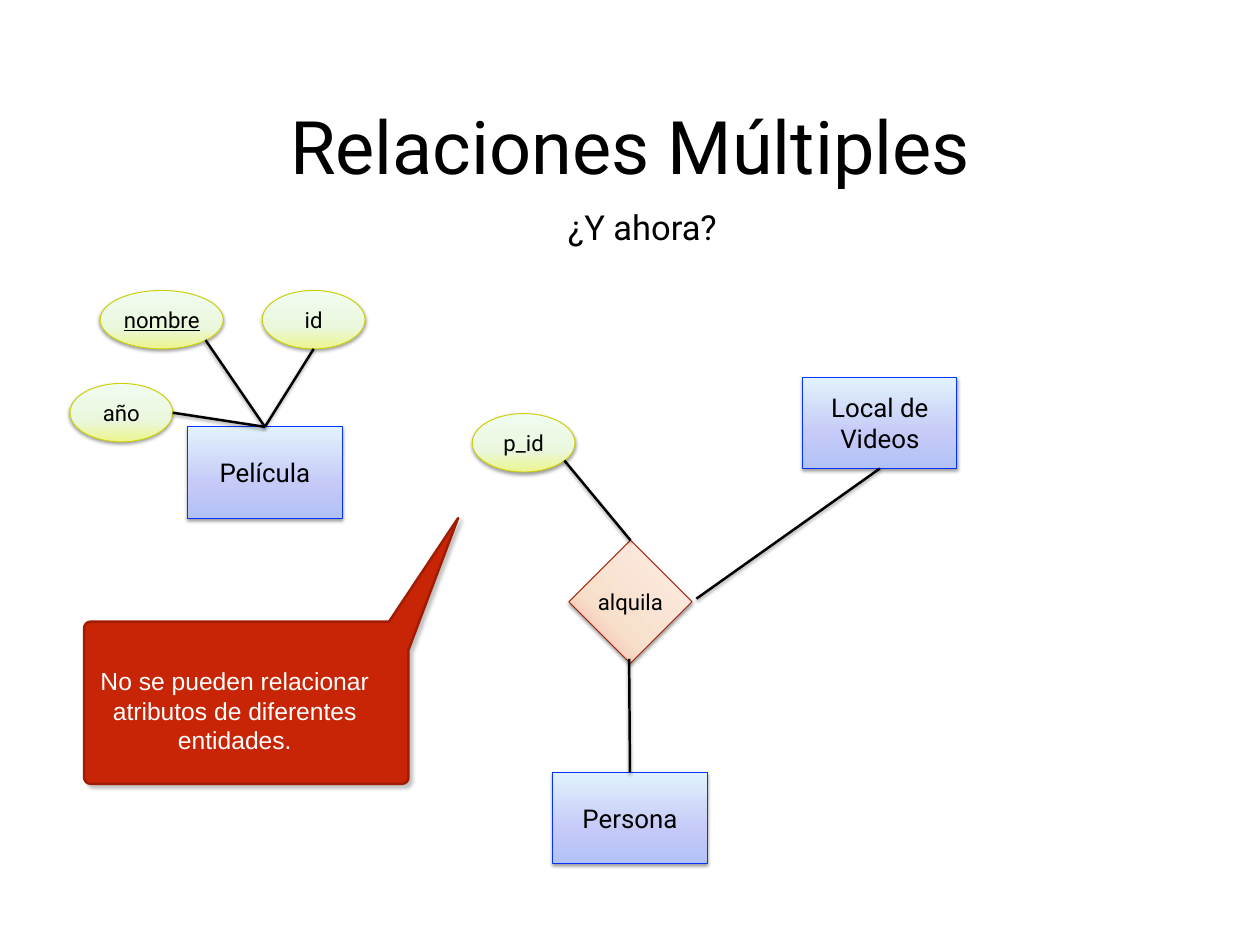
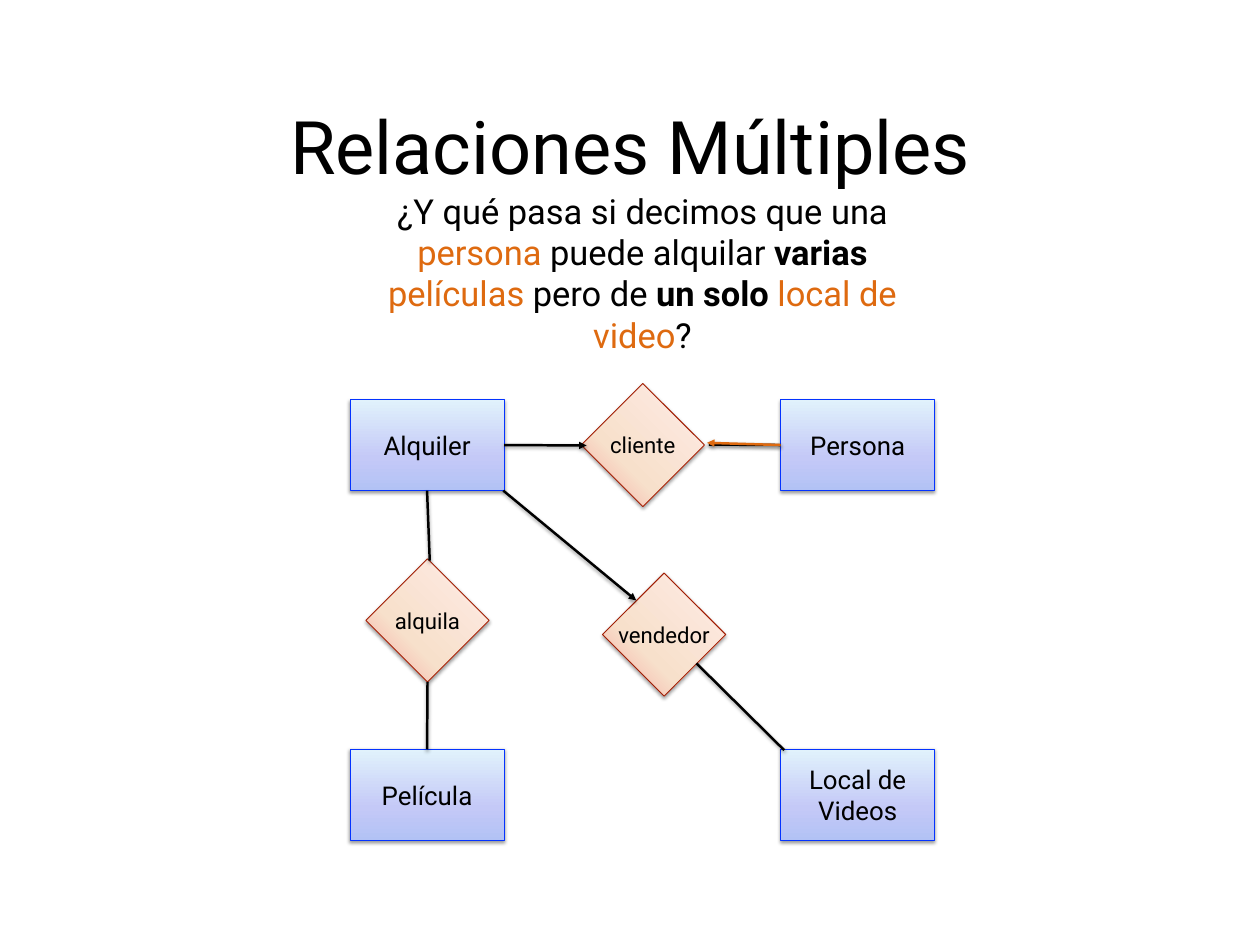
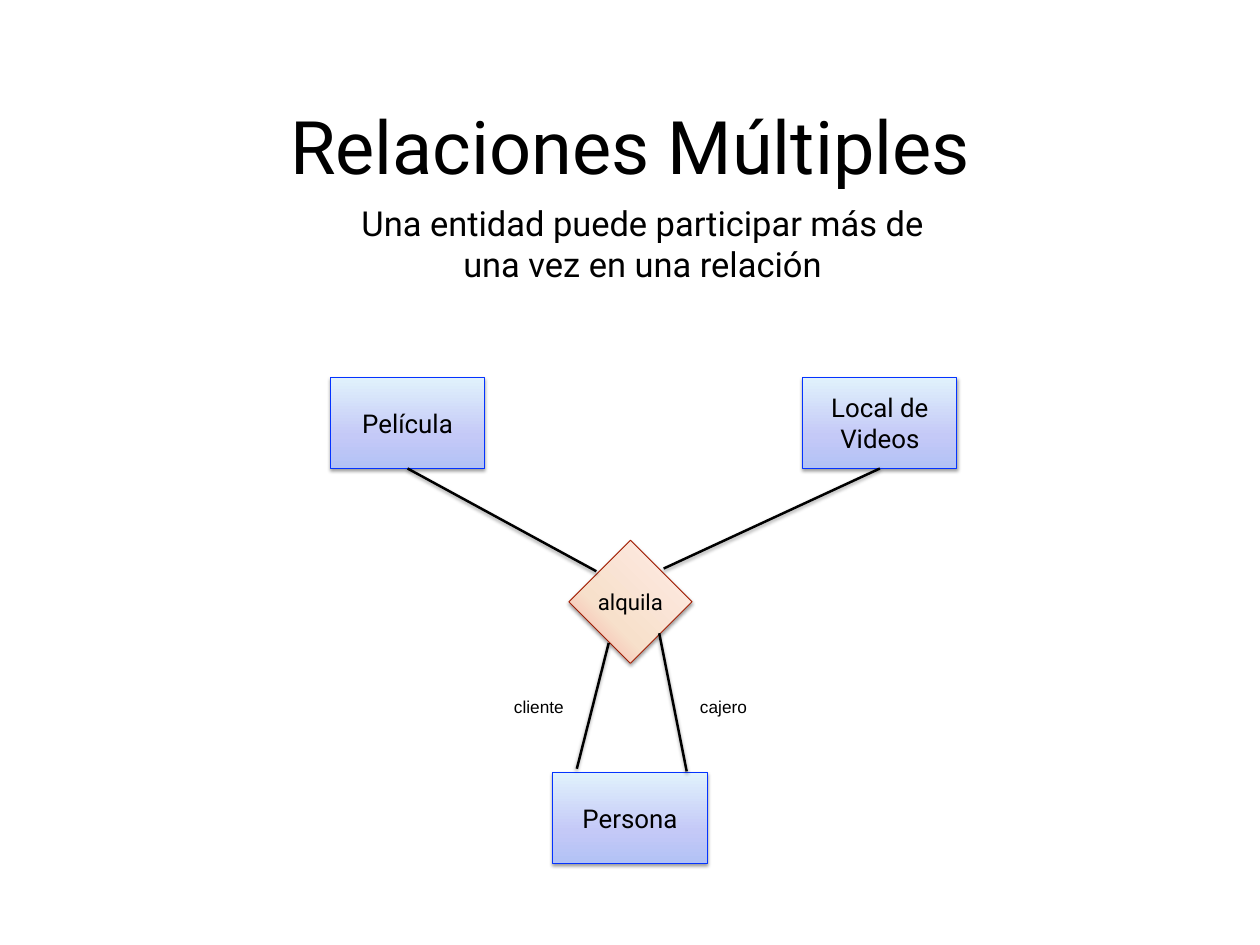
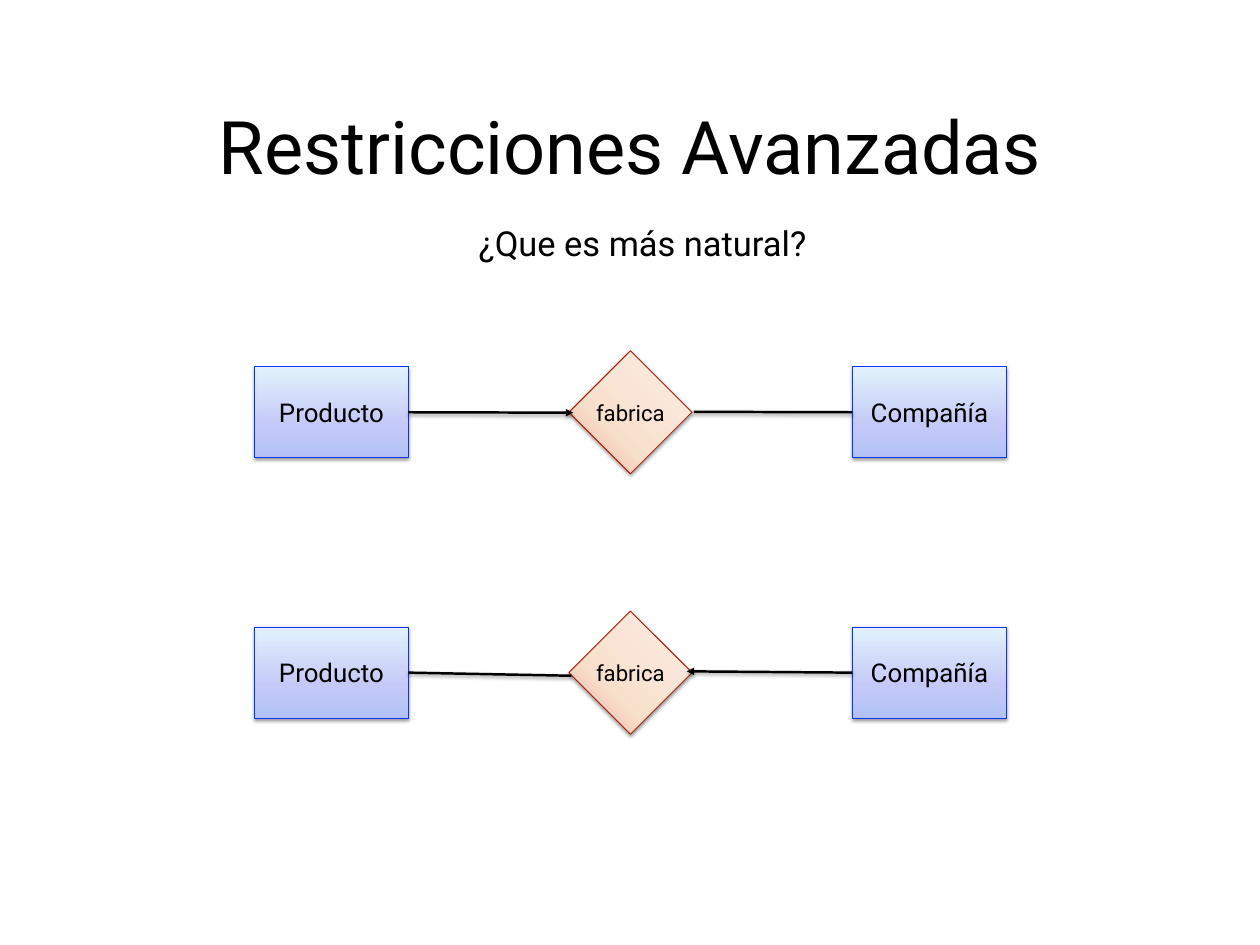
from math import cos, pi, sin

from pptx import Presentation
from pptx.dml.color import RGBColor
from pptx.enum.shapes import MSO_CONNECTOR, MSO_SHAPE
from pptx.enum.text import MSO_ANCHOR, MSO_AUTO_SIZE, PP_ALIGN
from pptx.oxml import parse_xml
from pptx.oxml.ns import nsdecls, qn
from pptx.util import Pt

PX = 9144
TOP, LEFT, BOTTOM, RIGHT = range(4)

COLORS = {
    "text": "000000",
    "accent": "DE6A10",
    "white": "FFFFFF",
    "entity": "0433FF",
    "attribute": "CCCF00",
    "relation": "A01D04",
    "callout": "C82506",
}

NODES = {
    "entity": {
        "outline": MSO_SHAPE.RECTANGLE, "size": (174, 103), "font": 21, "wrap": True,
        "stops": ((0, "B2C2F5"), (36, "C4C9F7"), (100, "E1F2FC")), "angle": 270,
    },
    "attribute": {
        "outline": MSO_SHAPE.OVAL, "size": (116, 66), "font": 18, "wrap": False,
        "stops": ((0, "ECF58E"), (36, "EAF7DC"), (100, "F1FCF1")), "angle": 270,
    },
    "relation": {
        "outline": MSO_SHAPE.DIAMOND, "size": (139, 139), "font": 18, "wrap": False,
        "stops": ((0, "F5A09A"), (35, "F7E0CB"), (100, "FFEBE7")), "angle": 315,
    },
}


def px(*values):
    return [round(value * PX) for value in values]


def rgb(name):
    return RGBColor.from_string(COLORS[name])


class Deck:
    def __init__(self):
        self.presentation = Presentation()
        size = px(1422, 1067)
        self.presentation.slide_width, self.presentation.slide_height = size

    def start_slide(self, title):
        layout = self.presentation.slide_layouts[5]
        self.slide = self.presentation.slides.add_slide(layout)
        shape = self.slide.shapes.title
        shape.left, shape.top, shape.width, shape.height = px(214, 109, 994, 109)
        self.set_text(shape, [[(title, {})]], 60, margins=(6, 6, 6, 6))

    def set_text(self, shape, paragraphs, size, font="Roboto", color="text",
                 margins=(0, 0, 0, 0), wrap=True, anchor=MSO_ANCHOR.MIDDLE,
                 alignment=PP_ALIGN.CENTER):
        frame = shape.text_frame
        left, top, right, bottom = px(*margins)
        settings = {
            "margin_left": left, "margin_top": top,
            "margin_right": right, "margin_bottom": bottom,
            "word_wrap": wrap, "vertical_anchor": anchor,
            "auto_size": MSO_AUTO_SIZE.NONE,
        }
        for name, value in settings.items():
            setattr(frame, name, value)
        for index, runs in enumerate(paragraphs):
            paragraph = frame.add_paragraph() if index else frame.paragraphs[0]
            paragraph.alignment = alignment
            for text, changes in runs:
                run = paragraph.add_run()
                run.text = text
                values = {"name": font, "size": Pt(size), "color": color, **changes}
                run.font.color.rgb = rgb(values.pop("color"))
                for name, value in values.items():
                    setattr(run.font, name, value)

    def text_box(self, box, runs, size, **options):
        shape = self.slide.shapes.add_textbox(*px(*box))
        self.set_text(shape, [runs], size, **options)

    def subtitle(self, top, height, *runs):
        self.text_box((397, top, 656, height), runs, 28, margins=(6, 6, 6, 6))

    def label(self, left, width, text):
        self.text_box((left, 786, width, 22), [(text, {})], 14, font="Arial",
                      wrap=False, anchor=MSO_ANCHOR.TOP, alignment=PP_ALIGN.LEFT)

    def outline(self, shape, color, width):
        shape.line.color.rgb = rgb(color)
        shape.line.width = Pt(width)

    def shadow(self, shape, opacity=38, distance=1.6, angle=90):
        properties = shape._element.spPr
        for effects in properties.findall(qn("a:effectLst")):
            properties.remove(effects)
        properties.append(parse_xml(
            f'<a:effectLst {nsdecls("a")}><a:outerShdw blurRad="{Pt(3)}" '
            f'dist="{Pt(distance)}" dir="{angle * 60000}" rotWithShape="0">'
            f'<a:srgbClr val="000000"><a:alpha val="{opacity * 1000}"/></a:srgbClr>'
            '</a:outerShdw></a:effectLst>'))

    def gradient(self, shape, stops, angle):
        shape.fill.background()
        properties = shape._element.spPr
        marks = "".join(
            f'<a:gs pos="{position * 1000}"><a:srgbClr val="{color}"/></a:gs>'
            for position, color in stops)
        properties.replace(properties.find(qn("a:noFill")), parse_xml(
            f'<a:gradFill {nsdecls("a")} rotWithShape="1"><a:gsLst>{marks}</a:gsLst>'
            f'<a:lin ang="{angle * 60000}" scaled="0"/></a:gradFill>'))

    def node(self, kind, text, left, top, width=None, **changes):
        style = NODES[kind]
        normal_width, height = style["size"]
        shape = self.slide.shapes.add_shape(
            style["outline"], *px(left, top, width or normal_width, height))
        self.gradient(shape, style["stops"], style["angle"])
        self.outline(shape, kind, 0.75)
        self.shadow(shape)
        self.set_text(shape, [[(text, changes)]], style["font"], wrap=style["wrap"])
        return shape

    def link(self, begin, end, color="text", arrow=False):
        points = [(0, 0) if hasattr(place[0], "shape_id") else place
                  for place in (begin, end)]
        line = self.slide.shapes.add_connector(
            MSO_CONNECTOR.STRAIGHT, *px(*points[0], *points[1]))
        for place, connect in ((begin, line.begin_connect), (end, line.end_connect)):
            if hasattr(place[0], "shape_id"):
                connect(*place)
        self.outline(line, color, 2)
        if arrow:
            line._element.spPr.get_or_add_ln().append(
                parse_xml(f'<a:tailEnd {nsdecls("a")} type="triangle"/>'))
        self.shadow(line)

    def callout(self, lines):
        left, top, right, bottom, radius = 95, 702, 461, 885, 7
        corners = ((left + radius, top + radius, 270),
                   (left + radius, bottom - radius, 180),
                   (right - radius, bottom - radius, 90))
        points = [(439, top)]
        for x, y, start in corners:
            for step in range(5):
                angle = (start - step * 22.5) * pi / 180
                points.append((x + radius * cos(angle), y + radius * sin(angle)))
        points.append((right, 734))
        builder = self.slide.shapes.build_freeform(*px(517, 585))
        builder.add_line_segments([px(*point) for point in points], close=True)
        shape = builder.convert_to_shape()
        shape.fill.solid()
        shape.fill.fore_color.rgb = rgb("callout")
        self.outline(shape, "relation", 2)
        self.shadow(shape, opacity=24, distance=3.3, angle=44)
        self.set_text(shape, [[(line, {})] for line in lines], 20, font="Arial",
                      color="white", margins=(0, 134, 82, 0))


def add_invalid_rental(deck):
    deck.start_slide("Relaciones Múltiples")
    deck.subtitle(227, 57, ("¿Y ahora?", {}))
    rents = deck.node("relation", "alquila", 642, 610)
    store = deck.node("entity", "Local de Videos", 906, 426)
    person = deck.node("entity", "Persona", 624, 872)
    film = deck.node("entity", "Película", 212, 482)
    deck.node("attribute", "año", 79, 433)
    deck.node("attribute", "nombre", 113, 328, width=139, underline=True)
    deck.node("attribute", "id", 296, 328)
    deck.node("attribute", "p_id", 533, 467)
    deck.callout(("No se pueden relacionar", "atributos de diferentes entidades."))
    deck.link((637, 520), (rents, TOP))
    deck.link((786, 676), (store, BOTTOM))
    deck.link((710, 744), (person, TOP))
    for point in ((354, 394), (195, 466), (232, 384)):
        deck.link(point, (film, TOP))


def add_rental_entity(deck):
    deck.start_slide("Relaciones Múltiples")
    accent, bold = {"color": "accent"}, {"bold": True}
    deck.subtitle(
        208, 199,
        ("¿Y qué pasa si decimos que una ", {}), ("persona", accent),
        (" puede alquilar ", {}), ("varias ", bold), ("películas", accent),
        (" pero de ", {}), ("un solo ", bold), ("local de video", accent), ("?", {}))
    film = deck.node("entity", "Película", 395, 846)
    deck.node("entity", "Local de Videos", 881, 846)
    person = deck.node("entity", "Persona", 881, 451)
    rental = deck.node("entity", "Alquiler", 395, 451)
    deck.node("relation", "vendedor", 680, 647)
    rents = deck.node("relation", "alquila", 413, 631)
    deck.node("relation", "cliente", 656, 433)
    deck.link((film, TOP), (rents, BOTTOM))
    deck.link((786, 749), (885, 847))
    deck.link((485, 633), (rental, BOTTOM))
    deck.link((rental, RIGHT), (662, 503), arrow=True)
    deck.link((568, 554), (718, 678), arrow=True)
    deck.link((person, LEFT), (800, 502))
    deck.link((person, LEFT), (798, 500), color="accent", arrow=True)


def add_repeated_role(deck):
    deck.start_slide("Relaciones Múltiples")
    deck.subtitle(
        223, 104, ("Una entidad puede participar más de una vez en una relación", {}))
    film = deck.node("entity", "Película", 373, 426)
    deck.node("relation", "alquila", 642, 610)
    store = deck.node("entity", "Local de Videos", 906, 426)
    deck.node("entity", "Persona", 624, 872)
    deck.link((film, BOTTOM), (673, 645))
    deck.link((749, 642), (store, BOTTOM))
    deck.link((687, 726), (651, 868))
    deck.link((744, 715), (775, 871))
    deck.label(580, 58, "cliente")
    deck.label(790, 54, "cajero")


def add_natural_restriction(deck):
    deck.start_slide("Restricciones Avanzadas")
    deck.subtitle(246, 57, ("¿Que es más natural?", {}))
    rows = (
        (414, (647, 466), True, (783, 465), False),
        (708, (645, 763), False, (775, 758), True),
    )
    for top, left_end, left_arrow, right_end, right_arrow in rows:
        product = deck.node("entity", "Producto", 287, top)
        deck.node("relation", "fabrica", 642, top - 18)
        company = deck.node("entity", "Compañía", 962, top)
        deck.link((product, RIGHT), left_end, arrow=left_arrow)
        deck.link((company, LEFT), right_end, arrow=right_arrow)


def main():
    deck = Deck()
    add_invalid_rental(deck)
    add_rental_entity(deck)
    add_repeated_role(deck)
    add_natural_restriction(deck)
    deck.presentation.save("out.pptx")


if __name__ == "__main__":
    main()
